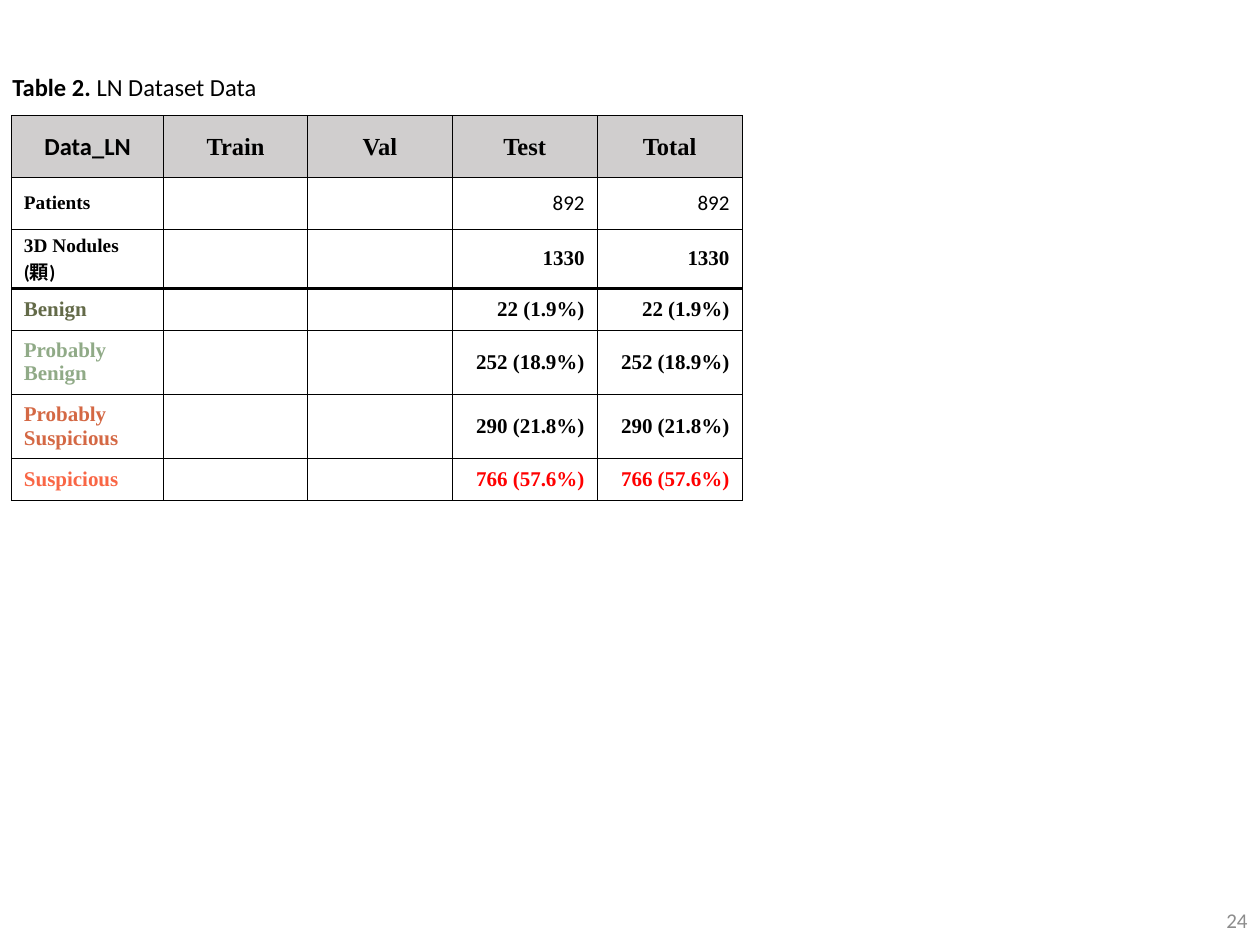
from lxml import etree
from pptx import Presentation
from pptx import util as u
from pptx.dml.color import RGBColor
from pptx.enum import text
from pptx.oxml.ns import qn

BLACK = RGBColor(0x00, 0x00, 0x00)
GREY = RGBColor(0x8C, 0x8C, 0x8C)
HEAD = RGBColor(0xD0, 0xCE, 0xCE)
OLIVE = RGBColor(0x63, 0x6A, 0x48)
SAGE = RGBColor(0x90, 0xAA, 0x87)
RUST = RGBColor(0xD4, 0x68, 0x44)
CORAL = RGBColor(0xF9, 0x66, 0x45)
RED = RGBColor(0xFF, 0x00, 0x00)
SANS, SERIF = "Calibri", "Times New Roman"
LEFT, MID, RIGHT = text.PP_ALIGN.LEFT, text.PP_ALIGN.CENTER, text.PP_ALIGN.RIGHT
THIN, THICK = 0.64, 2.25

WIDTHS = [1.21, 1.14, 1.15, 1.15, 1.15]
HEIGHTS = [0.49, 0.41, 0.47, 0.33, 0.51, 0.51, 0.33]
HEADS = ["Data_LN", "Train", "Val", "Test", "Total"]
# label, label size, label colour, value, value colour
ROWS = [
    ("Patients", 11, BLACK, "892", BLACK),
    ("3D Nodules (顆)", 11, BLACK, "1330", BLACK),
    ("Benign", 12, OLIVE, "22 (1.9%)", BLACK),
    ("Probably Benign", 12, SAGE, "252 (18.9%)", BLACK),
    ("Probably Suspicious", 12, RUST, "290 (21.8%)", BLACK),
    ("Suspicious", 12, CORAL, "766 (57.6%)", RED),
]
NODULES = 2  # the row above the heavy rule


class Deck:
    def __init__(self, slide):
        self.slide = slide

    def style(self, para, size, face=SERIF, color=BLACK, bold=True, align=LEFT):
        para.alignment = align
        font = para.font
        font.size, font.name, font.bold = u.Pt(size), face, bold
        font.color.rgb = color

    def label(self, box, parts, size, color, align=LEFT, anchor=text.MSO_ANCHOR.TOP):
        """Add a text box; parts are (words, bold) pairs."""
        frame = self.slide.shapes.add_textbox(*map(u.Inches, box)).text_frame
        frame.word_wrap = True
        frame.vertical_anchor = anchor
        para = frame.paragraphs[0]
        for words, bold in parts:
            run = para.add_run()
            run.text, run.font.bold = words, bold
        self.style(para, size, SANS, color, None, align)

    def grid(self, left, top, widths, heights):
        frame = self.slide.shapes.add_table(
            len(heights), len(widths), u.Inches(left), u.Inches(top),
            u.Inches(sum(widths)), u.Inches(sum(heights)))
        table = frame.table
        table.first_row = table.horz_banding = False
        for col, width in zip(table.columns, widths):
            col.width = u.Inches(width)
        for row, height in zip(table.rows, heights):
            row.height = u.Inches(height)
        return table

    def cell(self, cell, words, size, fill=None, above=THIN, below=THIN, **look):
        cell.vertical_anchor = text.MSO_ANCHOR.MIDDLE
        self.edges(cell, above, below)
        if fill is None:
            cell.fill.background()
        else:
            cell.fill.solid()
            cell.fill.fore_color.rgb = fill
        cell.text = words
        self.style(cell.text_frame.paragraphs[0], size, **look)

    def edges(self, cell, above, below):
        props = cell._tc.get_or_add_tcPr()
        for side, width in zip("LRTB", (THIN, THIN, above, below)):
            line = etree.SubElement(props, qn(f"a:ln{side}"), w=str(u.Pt(width)))
            paint = etree.SubElement(line, qn("a:solidFill"))
            etree.SubElement(paint, qn("a:srgbClr"), val=str(BLACK))


def main():
    prs = Presentation()
    prs.slide_width, prs.slide_height = u.Inches(10), u.Inches(7.5)
    deck = Deck(prs.slides.add_slide(prs.slide_layouts[6]))

    deck.label((7.75, 7.1, 2.25, 0.4), [("24", False)], 12, GREY,
               RIGHT, text.MSO_ANCHOR.MIDDLE)
    deck.label((0, 0.52, 2.41, 0.34),
               [("Table 2. ", True), ("LN Dataset Data", False)], 14, BLACK)

    table = deck.grid(0.09, 0.92, WIDTHS, HEIGHTS)
    for col, head in enumerate(HEADS):
        deck.cell(table.cell(0, col), head, 14, HEAD, align=MID,
                  face=SERIF if col else SANS)
    for row, (name, size, tint, value, color) in enumerate(ROWS, 1):
        rule = {"above": THICK if row == NODULES + 1 else THIN,
                "below": THICK if row == NODULES else THIN}
        plain = row == 1
        deck.cell(table.cell(row, 0), name, size, color=tint, **rule)
        for col, words in enumerate(["", "", value, value], 1):
            deck.cell(table.cell(row, col), words, 12, color=color, align=RIGHT,
                      face=SANS if plain else SERIF, bold=not plain, **rule)

    # The unit after the nodule label is set in the sans face.
    para = table.cell(NODULES, 0).text_frame.paragraphs[0]
    para.runs[0].text = "3D Nodules "
    unit = para.add_run()
    unit.text, unit.font.name = "(顆)", SANS

    prs.save("out.pptx")


if __name__ == "__main__":
    main()
